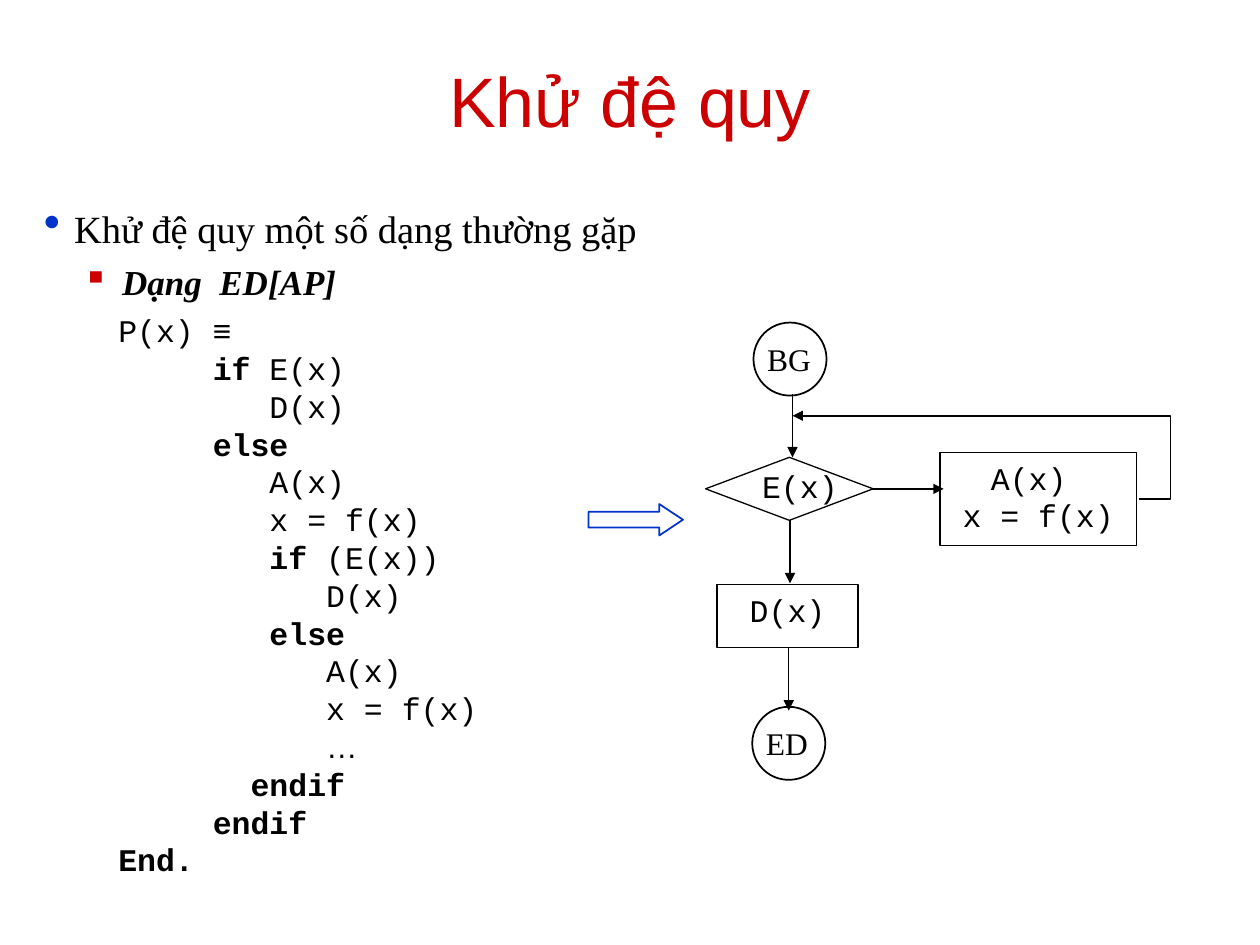
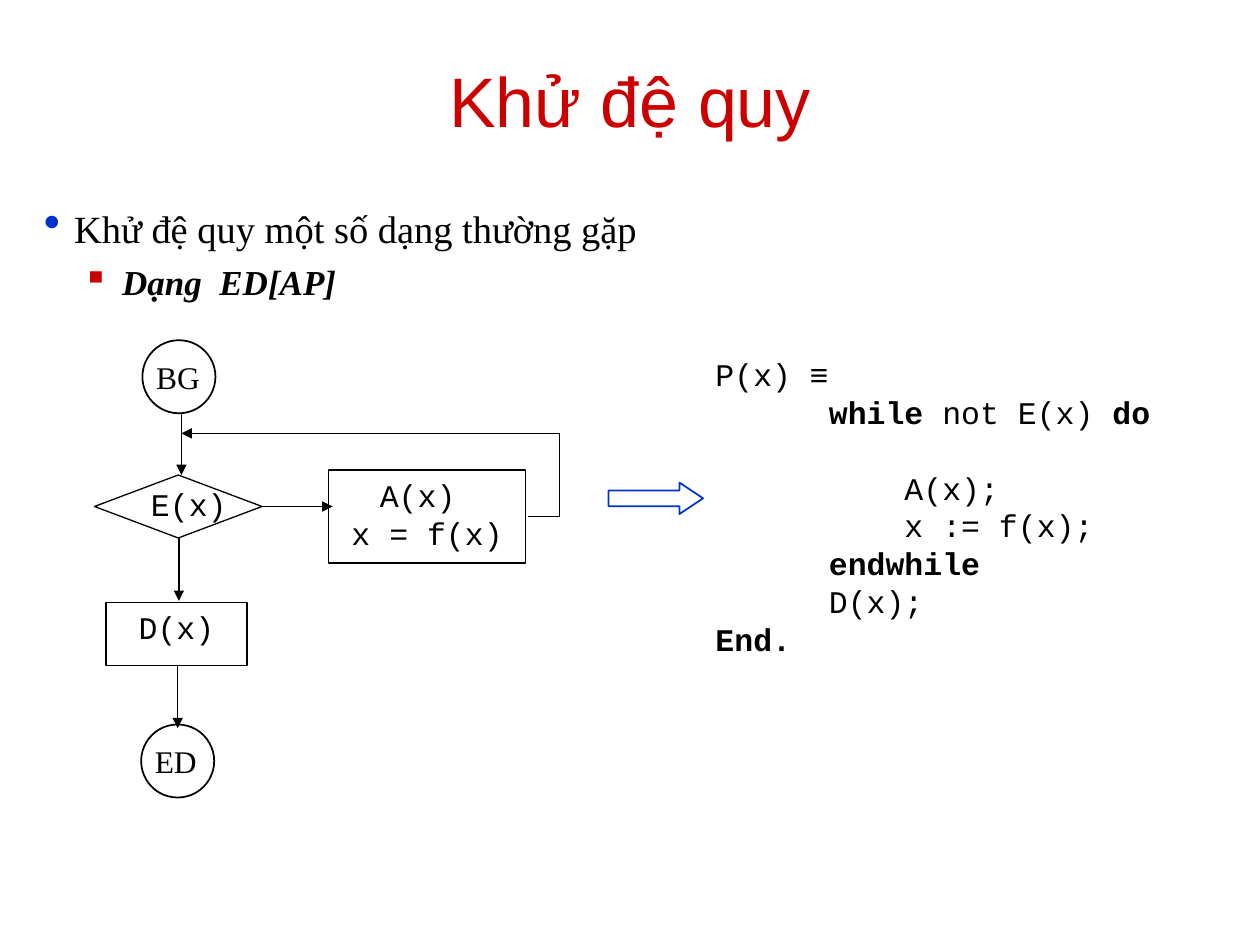
from pptx import Presentation
from pptx.dml.color import RGBColor
from pptx.enum import shapes, text
from pptx.oxml import parse_xml
from pptx.oxml.ns import nsdecls
from pptx.util import Inches, Pt

HUES = {"ink": "000000", "paper": "FFFFFF", "red": "CC0000", "blue": "0033CC"}
SANS, SERIF, MONO = "Arial", "Times New Roman", "Courier New"
KIND = shapes.MSO_SHAPE
CHAR = 0.15
STEP = 21.6

TITLE = "Khử đệ quy"
TOPICS = [
    {"text": "Khử đệ quy một số dạng thường gặp", "size": 22, "slant": False,
     "left": 0.24, "hang": 0.24, "gap": 5.5, "mark": "•", "hue": "blue", "scale": 125},
    {"text": "Dạng  ED[AP]", "size": 20, "slant": True,
     "left": 0.62, "hang": 0.31, "gap": 5, "mark": "▪", "hue": "red", "scale": 100},
]
BOLD = {"if", "else", "endif", "while", "do", "endwhile", "End."}
SIGNS = {"≡", "…"}

RECUR = [
    (0, "P(x) |≡"), (5, "if| E(x)"), (8, "D(x)"), (5, "else"),
    (8, "A(x)"), (8, "x = f(x)"), (8, "if| (E(x))"), (11, "D(x)"),
    (8, "else"), (11, "A(x)"), (11, "x = f(x)"), (11, "…"),
    (7, "endif"), (5, "endif"), (0, "End."),
]
LOOP = [
    (0, "P(x) |≡"), (6, "while| not E(x) |do"), (10, "A(x);"),
    (10, "x := f(x);"), (6, "endwhile"), (6, "D(x);"), (0, "End."),
]
PAGES = [
    {"code": RECUR, "area": (0.84, 2.42, 3.08, 4.6), "gaps": {},
     "flow": (5.6, 2.56), "arrow": (4.67, 4)},
    {"code": LOOP, "area": (5.58, 2.77, 3.75, 2.5), "gaps": {2: STEP},
     "flow": (0.75, 2.7), "arrow": (4.83, 3.83)},
]

BLOCKS = [
    (KIND.DIAMOND, (0, 1.07, 1.33, 0.5), 0.75, []),
    (KIND.RECTANGLE, (1.86, 1.03, 1.56, 0.74), 0.75, ["A(x) ", "x = f(x)"]),
    (KIND.RECTANGLE, (0.09, 2.08, 1.12, 0.5), 0.75, ["D(x)"]),
    (KIND.OVAL, (0.38, 0, 0.58, 0.58), 1, []),
    (KIND.OVAL, (0.37, 3.05, 0.58, 0.58), 1, []),
]
LABELS = [
    ("E(x)", (0.35, 1.1, 1.13, 0.5), MONO, 0),
    ("BG", (0.39, 0.09, 0.75, 0.4), SERIF, 11.2),
    ("ED", (0.38, 3.14, 0.75, 0.4), SERIF, 11.2),
]
LINKS = [
    ((0.69, 0.57), (0.69, 1.07), 0.75),
    ((1.31, 1.32), (1.89, 1.32), 1),
    ((0.67, 1.57), (0.67, 2.07), 0.75),
    ((0.66, 2.58), (0.66, 3.08), 0.75),
]
BACK = [(3.44, 1.4), (3.69, 1.4), (3.69, 0.74), (0.69, 0.74)]


def rgb(name):
    return RGBColor.from_string(HUES[name])


def place(box, shift=(0, 0)):
    x, y, w, h = box
    return [Inches(v) for v in (x + shift[0], y + shift[1], w, h)]


def style(para, face, size, hue="ink", bold=False, slant=False):
    for run in para.runs:
        font = run.font
        font.name, font.size = face, Pt(size)
        font.bold, font.italic = bold, slant
        font.color.rgb = rgb(hue)


def lines(frame, count):
    return [frame.paragraphs[0]] + [frame.add_paragraph() for _ in range(count - 1)]


def stroke(line, width, hue="ink", head=False):
    line.color.rgb = rgb(hue)
    line.width = Pt(width)
    if head:
        line._get_or_add_ln().append(
            parse_xml(f'<a:tailEnd type="triangle" {nsdecls("a")}/>'))


def block(parent, kind, spot, width, hue="ink", fill=None):
    shape = parent.add_shape(kind, *spot)
    shape.shadow.inherit = False
    if fill:
        shape.fill.solid()
        shape.fill.fore_color.rgb = rgb(fill)
    else:
        shape.fill.background()
    stroke(shape.line, width, hue)
    return shape


def heading(slide):
    title = slide.shapes.title
    title.left, title.top, title.width, title.height = place((0.5, 0.25, 9, 1.08))
    frame = title.text_frame
    frame.text = TITLE
    frame.vertical_anchor = text.MSO_ANCHOR.MIDDLE
    frame.paragraphs[0].alignment = text.PP_ALIGN.CENTER
    style(frame.paragraphs[0], SANS, 40, "red")


def topics(slide):
    frame = slide.shapes.add_textbox(*place((0.25, 1.58, 5.08, 5.58))).text_frame
    frame.word_wrap = True
    for para, item in zip(lines(frame, len(TOPICS)), TOPICS):
        para.text = item["text"]
        para.space_before = Pt(item["gap"])
        style(para, SERIF, item["size"], bold=item["slant"], slant=item["slant"])
        props = para._p.get_or_add_pPr()
        props.set("marL", str(Inches(item["left"])))
        props.set("indent", str(-Inches(item["hang"])))
        for part in (
            f'<a:buClr {nsdecls("a")}><a:srgbClr val="{HUES[item["hue"]]}"/></a:buClr>',
            f'<a:buSzPct val="{item["scale"] * 1000}" {nsdecls("a")}/>',
            f'<a:buChar char="{item["mark"]}" {nsdecls("a")}/>',
        ):
            props.append(parse_xml(part))


def listing(slide, page):
    frame = slide.shapes.add_textbox(*place(page["area"])).text_frame
    frame.word_wrap = True
    frame.vertical_anchor = text.MSO_ANCHOR.MIDDLE
    code = page["code"]
    for row, (para, (depth, words)) in enumerate(zip(lines(frame, len(code)), code)):
        para.line_spacing = Pt(STEP)
        para.space_before = Pt(page["gaps"].get(row, 0))
        para._p.get_or_add_pPr().set("marL", str(Inches(depth * CHAR)))
        for word in words.split("|"):
            para.add_run().text = word
        style(para, MONO, 18)
        for run in para.runs:
            run.font.bold = run.text in BOLD
            run.font.name = SANS if run.text in SIGNS else MONO


def flow(slide, shift):
    group = slide.shapes.add_group_shape().shapes
    for kind, box, width, words in BLOCKS:
        fill = None if kind == KIND.OVAL else "paper"
        shape = block(group, kind, place(box, shift), width, fill=fill)
        if words:
            frame = shape.text_frame
            frame.vertical_anchor = text.MSO_ANCHOR.TOP
            for para, word in zip(lines(frame, len(words)), words):
                para.text = word
                para.alignment = text.PP_ALIGN.CENTER
                para.line_spacing = Pt(STEP)
                style(para, MONO, 18)
    for word, box, face, gap in LABELS:
        frame = group.add_textbox(*place(box, shift)).text_frame
        frame.word_wrap = True
        frame.text = word
        frame.paragraphs[0].space_before = Pt(gap)
        style(frame.paragraphs[0], face, 18)
    for start, end, width in LINKS:
        ends = [Inches(p + s) for spot in (start, end) for p, s in zip(spot, shift)]
        link = group.add_connector(shapes.MSO_CONNECTOR.STRAIGHT, *ends)
        stroke(link.line, width, head=True)
        link._element.spPr.append(parse_xml(f'<a:effectLst {nsdecls("a")}/>'))
    first, *rest = [(Inches(x + shift[0]), Inches(y + shift[1])) for x, y in BACK]
    pen = group.build_freeform(*first)
    pen.add_line_segments(rest, close=False)
    path = pen.convert_to_shape()
    path.shadow.inherit = False
    path.fill.background()
    stroke(path.line, 1, head=True)


def main():
    deck = Presentation()
    deck.slide_width, deck.slide_height = Inches(10), Inches(7.5)
    for page in PAGES:
        slide = deck.slides.add_slide(deck.slide_layouts[5])
        heading(slide)
        topics(slide)
        listing(slide, page)
        flow(slide, page["flow"])
        arrow = block(slide.shapes, KIND.RIGHT_ARROW,
                      place((*page["arrow"], 0.75, 0.25)), 1, "blue")
        arrow.adjustments[0], arrow.adjustments[1] = 0.5, 0.75
    deck.save("out.pptx")


if __name__ == "__main__":
    main()
